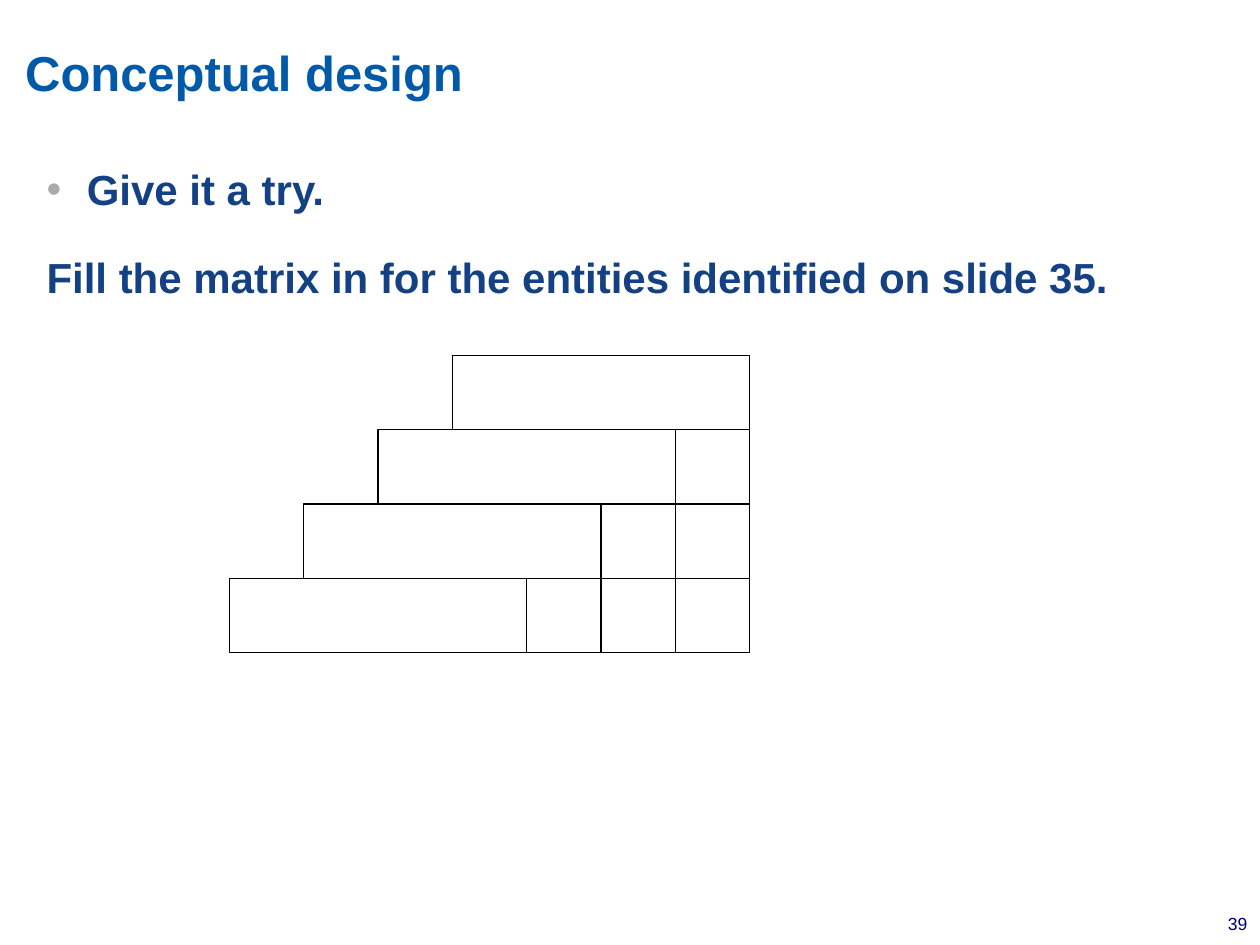
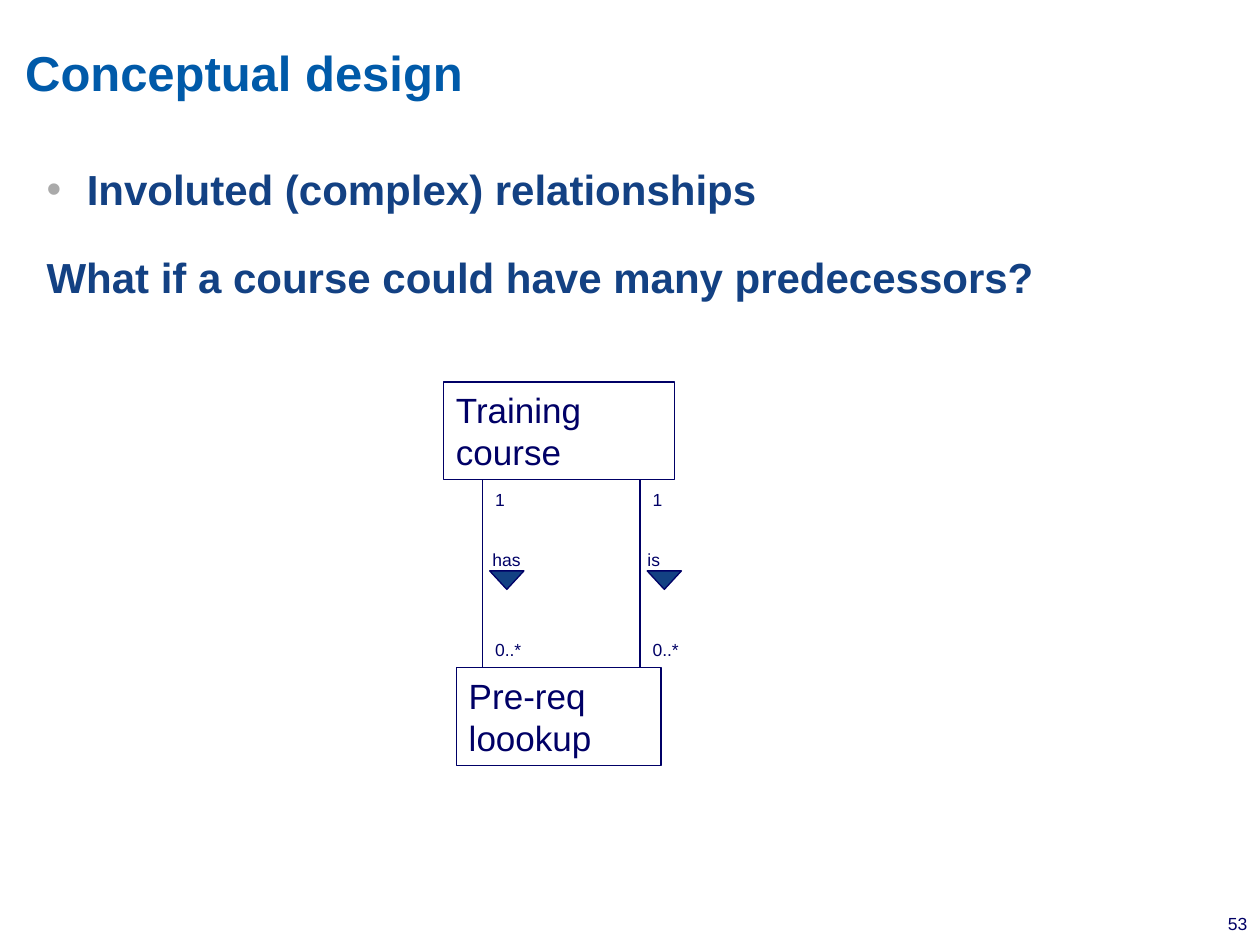
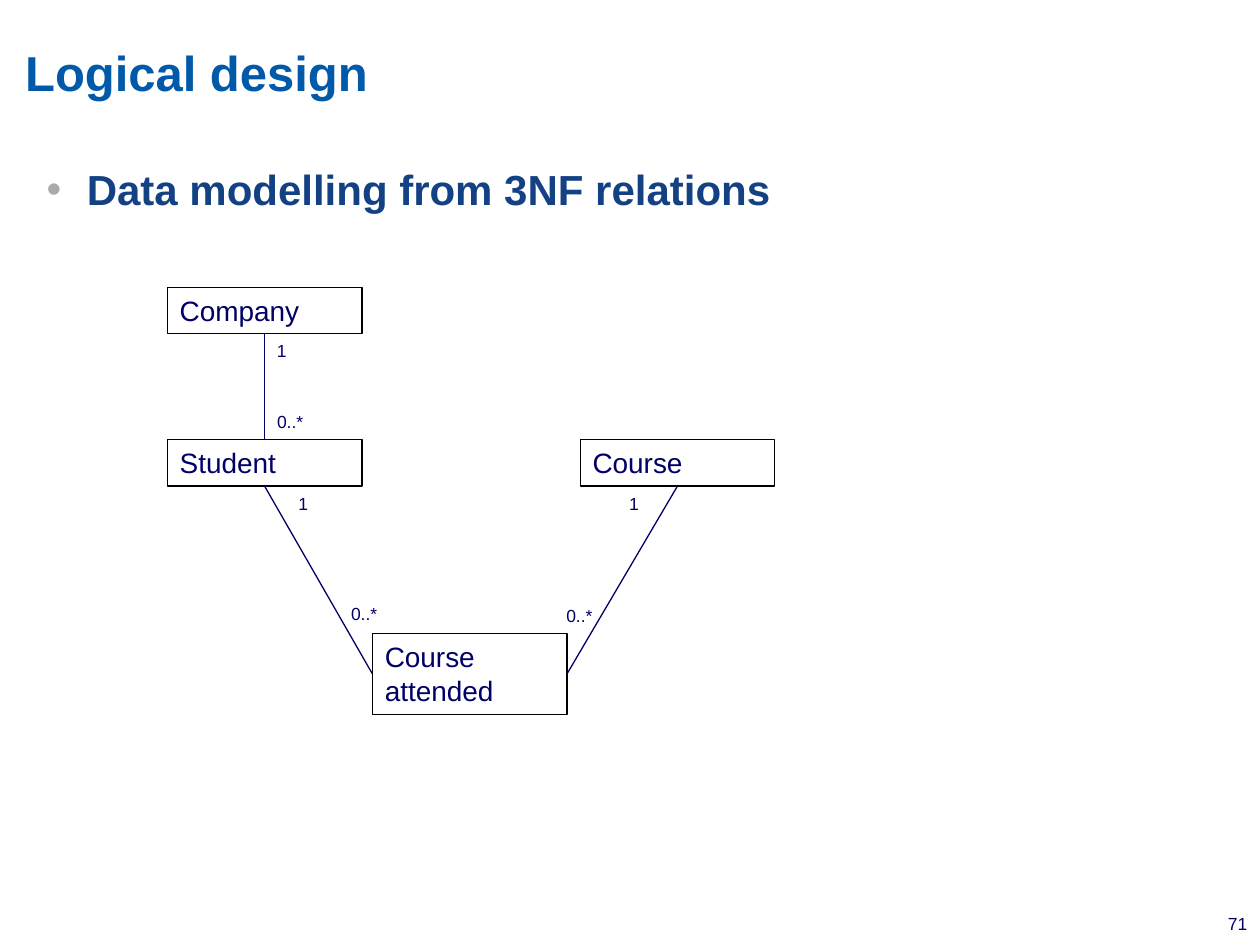
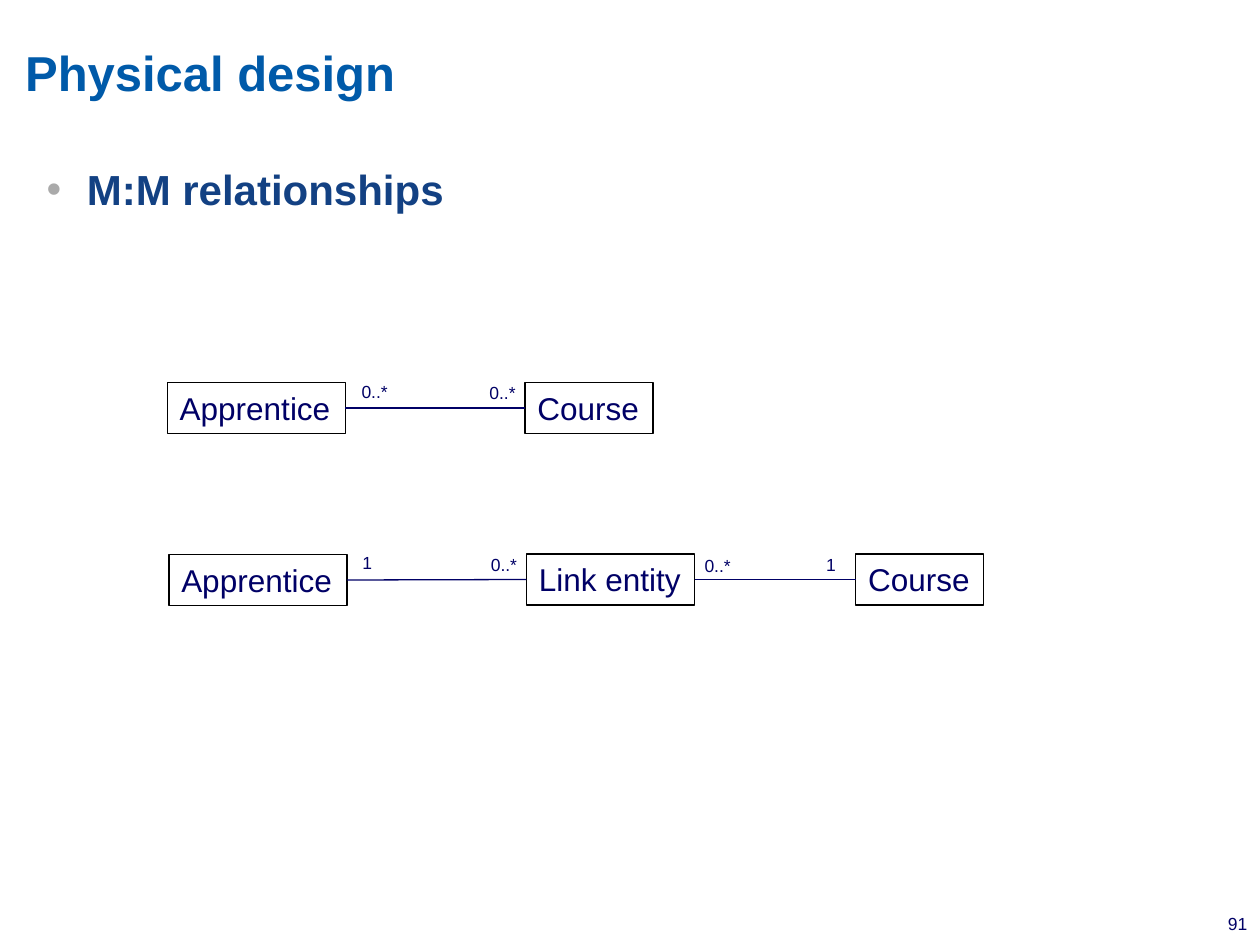
from lxml import etree
from pptx import Presentation
from pptx.dml.color import RGBColor
from pptx.enum.shapes import MSO_CONNECTOR as CONN, MSO_SHAPE as SHAPE
from pptx.enum.text import MSO_ANCHOR as ANCHOR, MSO_AUTO_SIZE as FIT, PP_ALIGN as ALIGN
from pptx.oxml.ns import qn
from pptx.util import Pt

# Shared style
COLORS = {"title": "005AA9", "body": "134183", "bullet": "AAAAAA",
          "text": "000066", "black": "000000"}
FONTS = {
    "title": {"size": Pt(28), "bold": True, "name": "Arial"},
    "body": {"size": Pt(24), "bold": True, "name": "Arial"},
    "label": {"size": Pt(10), "name": "Arial"},
}
TOP, LEFT, BOTTOM, RIGHT = range(4)
MARGINS = (7.2, 3.6, 7.2, 3.6)
LABEL_H = 19.2
LABEL_W = {"1": 20, "0..*": 29.5}

# Content: the first line of each body is a bullet, the rest is plain
SLIDES = [
    {"number": 39, "title": "Conceptual design",
     "body": ["Give it a try.",
              "Fill the matrix in for the entities identified on slide 35."]},
    {"number": 53, "title": "Conceptual design",
     "body": ["Involuted (complex) relationships",
              "What if a course could have many predecessors?"],
     "size": 20, "line": "text",
     "boxes": {"training": ("Training course", 253.5, 218.3, 131.8, 55.7),
               "lookup": ("Pre-req loookup", 260.8, 381.6, 117, 55.7)}},
    {"number": 71, "title": "Logical design",
     "body": ["Data modelling from 3NF relations"],
     "size": 16, "line": "black",
     "boxes": {"company": ("Company", 95.6, 164.2, 111.2, 26.6),
               "student": ("Student", 95.6, 251.2, 111.2, 26.6),
               "course": ("Course", 331.5, 251.2, 111.2, 26.6),
               "attended": ("Course attended", 212.8, 362, 111.2, 46.2)},
     "links": [("company", BOTTOM, "student", TOP),
               ("student", BOTTOM, "attended", LEFT),
               ("course", BOTTOM, "attended", RIGHT)],
     "labels": [("1", 151.2, 191), ("0..*", 151.2, 231.4),
                ("1", 163.4, 278), ("0..*", 193.5, 341),
                ("0..*", 316.5, 342), ("1", 352.5, 278)]},
    {"number": 91, "title": "Physical design",
     "body": ["M:M relationships"],
     "size": 18, "line": "black", "wrap": False,
     "boxes": {"apprentice": ("Apprentice", 95.6, 218.6, 101.8, 29.1),
               "course": ("Course", 300, 218.6, 73.2, 29.1),
               "apprentice 2": ("Apprentice", 96.5, 316.9, 101.8, 29.1),
               "link": ("Link entity", 300.8, 316.6, 96.2, 29.1),
               "course 2": ("Course", 489, 316.6, 73.2, 29.1)},
     "links": [("apprentice", RIGHT, "course", LEFT),
               ("apprentice 2", RIGHT, "link", LEFT),
               ("link", RIGHT, "course 2", LEFT)],
     "labels": [("0..*", 199.5, 214.2), ("0..*", 272.6, 215),
                ("1", 200, 312), ("0..*", 273.4, 313),
                ("0..*", 395.5, 313.6), ("1", 465, 313)]},
]
# Relationships between the two boxes: name, x of the line, x of the name
ASSOCIATIONS = [("has", 275.8, 274.3), ("is", 365.8, 362.9)]


def rgb(name):
    return RGBColor.from_string(COLORS[name])


def set_frame(tf, margins=MARGINS, wrap=True, fit=FIT.NONE, anchor=ANCHOR.TOP):
    sides = ("margin_left", "margin_top", "margin_right", "margin_bottom")
    for side, value in zip(sides, margins):
        setattr(tf, side, Pt(value))
    tf.word_wrap, tf.auto_size, tf.vertical_anchor = wrap, fit, anchor


def write(p, text, font, color, align=ALIGN.LEFT):
    p.alignment = align
    r = p.add_run()
    r.text = text
    for key, value in font.items():
        setattr(r.font, key, value)
    r.font.color.rgb = rgb(color)


def move(sp, x, y, w, h):
    sp.left, sp.top, sp.width, sp.height = Pt(x), Pt(y), Pt(w), Pt(h)


def add_label(s, text, x, y, w, wrap=False):
    sp = s.shapes.add_textbox(Pt(x), Pt(y), Pt(w), Pt(LABEL_H))
    set_frame(sp.text_frame, wrap=wrap, fit=FIT.SHAPE_TO_FIT_TEXT)
    write(sp.text_frame.paragraphs[0], text, FONTS["label"], "text")


def add_outline(s, x, y, w, h, line, kind=SHAPE.RECTANGLE):
    sp = s.shapes.add_shape(kind, Pt(x), Pt(y), Pt(w), Pt(h))
    sp.shadow.inherit = False
    sp.fill.background()
    sp.line.color.rgb = rgb(line)
    sp.line.width = Pt(0.75)
    return sp


def add_line(s, x1=0, y1=0, x2=0, y2=0):
    c = s.shapes.add_connector(CONN.STRAIGHT, Pt(x1), Pt(y1), Pt(x2), Pt(y2))
    c.line.color.rgb = rgb("text")
    c.line.width = Pt(0.75)
    etree.SubElement(c.element.spPr, qn("a:effectLst"))
    return c


def set_bullet(p, bulleted):
    pPr = p._p.get_or_add_pPr()
    indent = Pt(23) if bulleted else 0
    pPr.set("marL", str(indent))
    pPr.set("indent", str(-indent))
    if bulleted:
        clr = etree.SubElement(pPr, qn("a:buClr"))
        etree.SubElement(clr, qn("a:srgbClr")).set("val", COLORS["bullet"])
        etree.SubElement(pPr, qn("a:buChar")).set("char", "•")
    else:
        etree.SubElement(pPr, qn("a:buNone"))


def add_base(prs, data):
    """Slide with title, body text and page number."""
    s = prs.slides.add_slide(prs.slide_layouts[1])
    title, body = s.shapes.title, s.placeholders[1]
    move(title, 0, 0, 720, 77.8)
    set_frame(title.text_frame, (14.4, 14.4, 141.8, 10), anchor=ANCHOR.MIDDLE)
    write(title.text_frame.paragraphs[0], data["title"], FONTS["title"], "title")

    move(body, 19.4, 84.2, 685.4, 438.5)
    tf = body.text_frame
    set_frame(tf)
    for i, text in enumerate(data["body"]):
        p = tf.add_paragraph() if i else tf.paragraphs[0]
        set_bullet(p, i == 0)
        p.line_spacing = 1.2
        p.space_before = Pt(15.5 if i else 0)
        write(p, text, FONTS["body"], "body")

    sp = s.shapes.add_textbox(Pt(460.8), Pt(518.4), Pt(252), Pt(12.2))
    set_frame(sp.text_frame, (0, 3.6, 0, 3.6))
    write(sp.text_frame.paragraphs[0], str(data["number"]), FONTS["label"],
          "text", ALIGN.RIGHT)
    return s


def add_diagram(s, data):
    """Entity boxes, the links between them and their multiplicities."""
    boxes = {}
    font = {"size": Pt(data.get("size", 16)), "name": "Arial"}
    for name, (text, *place) in data.get("boxes", {}).items():
        sp = boxes[name] = add_outline(s, *place, data["line"])
        set_frame(sp.text_frame, wrap=data.get("wrap", True),
                  fit=FIT.SHAPE_TO_FIT_TEXT)
        write(sp.text_frame.paragraphs[0], text, font, "text")
    for start, start_side, end, end_side in data.get("links", []):
        c = add_line(s)
        c.begin_connect(boxes[start], start_side)
        c.end_connect(boxes[end], end_side)
    for text, x, y in data.get("labels", []):
        add_label(s, text, x, y, LABEL_W[text])


def add_matrix(s, left=131, top=203, cell=42.5, rows=4):
    """Stepped matrix: each row has a wide name cell and one more square."""
    for row in range(rows):
        x, y = left + (rows - 1 - row) * cell, top + row * cell
        add_outline(s, x, y, 4 * cell, cell, "black")
        for col in range(row):
            add_outline(s, x + (4 + col) * cell, y, cell, cell, "black")


def add_associations(s):
    """Parallel lines with a name, a direction arrow and multiplicities."""
    for name, x, name_x in ASSOCIATIONS:
        add_line(s, x, 274, x, 381.6)
        add_label(s, name, name_x, 310.3, 96, wrap=True)
        add_label(s, "0..*", x, 361.6, 48, wrap=True)
        add_label(s, "1", x, 275.8, 48, wrap=True)
        sp = add_outline(s, x + 4, 326.2, 19.6, 10.6, "text",
                         SHAPE.ISOSCELES_TRIANGLE)
        sp.rotation = 180
        sp.fill.solid()
        sp.fill.fore_color.rgb = rgb("body")


def main():
    prs = Presentation()
    prs.slide_width, prs.slide_height = Pt(720), Pt(540)
    slides = []
    for data in SLIDES:
        s = add_base(prs, data)
        add_diagram(s, data)
        slides.append(s)
    add_matrix(slides[0])
    add_associations(slides[1])
    prs.save("out.pptx")


if __name__ == "__main__":
    main()
